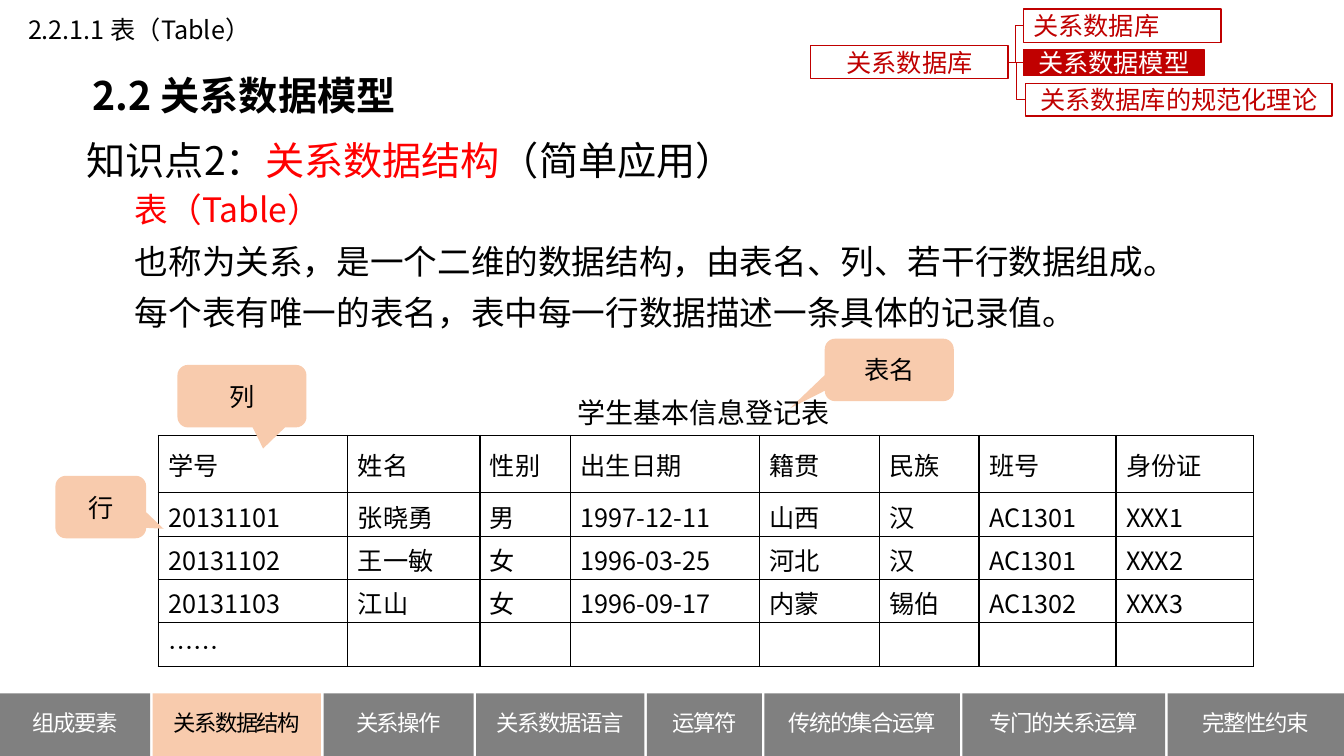
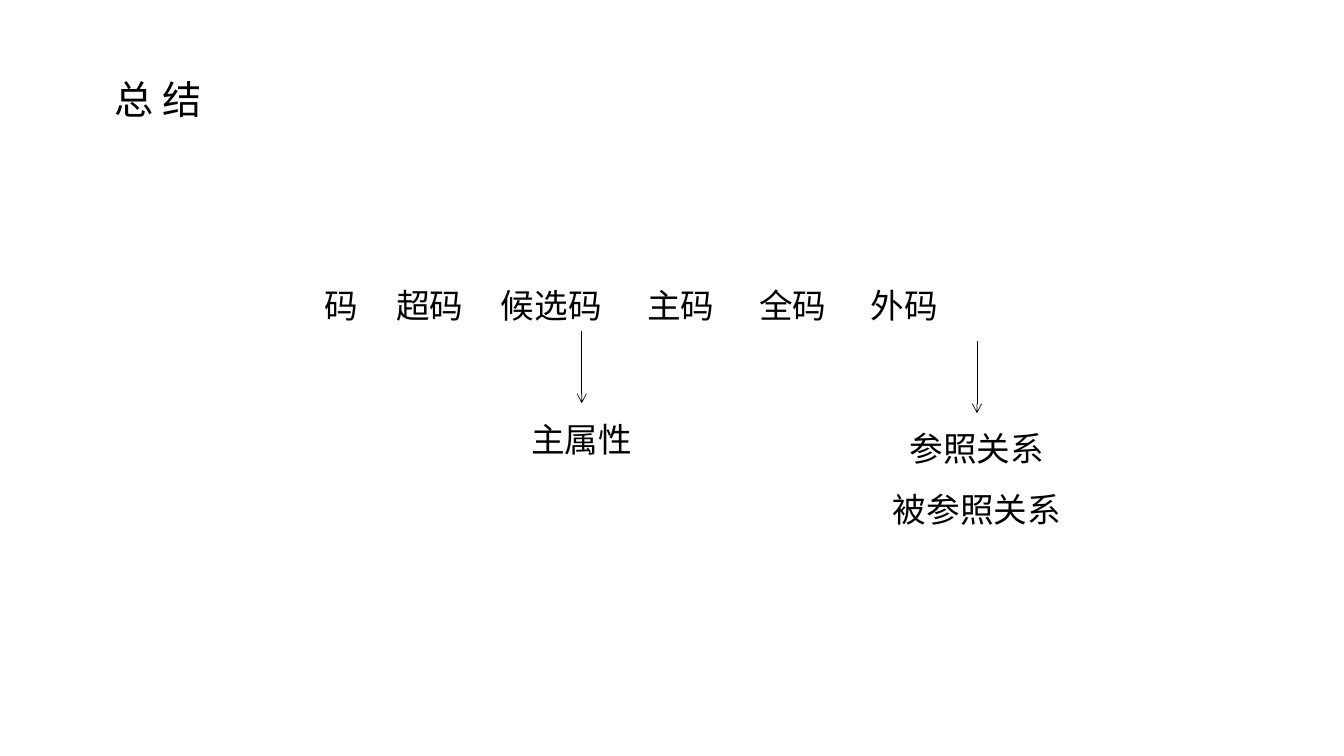
from lxml.etree import SubElement
from pptx import Presentation
from pptx.dml.color import RGBColor
from pptx.enum.shapes import MSO_CONNECTOR, MSO_SHAPE
from pptx.enum.text import MSO_ANCHOR, PP_ALIGN
from pptx.oxml.ns import qn
from pptx.util import Inches, Pt

COLORS = {"black": "000000", "white": "FFFFFF", "red": "FF0000",
          "crimson": "C00000", "gray": "808080", "peach": "F8CBAD"}
SANS = "Noto Sans CJK SC"
CALLOUT_FONT = "Noto Sans CJK JP"


def color(name):
    return RGBColor.from_string(COLORS[name])


class Deck:
    """Holds the shared style and the current slide."""

    def __init__(self):
        self.presentation = Presentation()
        self.presentation.slide_width = Inches(13.33)
        self.presentation.slide_height = Inches(7.5)
        self.slide = None

    def new_slide(self):
        self.slide = self.presentation.slides.add_slide(self.presentation.slide_layouts[6])

    def fill_text(self, frame, paragraphs, size, ink="black", font=SANS, bold=False,
                  tracking=None, align=PP_ALIGN.LEFT, spacing=None):
        paragraph_format = {"alignment": align, "line_spacing": spacing}
        font_format = {"name": font, "size": Pt(size), "bold": bold}
        for index, runs in enumerate(paragraphs):
            paragraph = frame.add_paragraph() if index else frame.paragraphs[0]
            for key, value in paragraph_format.items():
                setattr(paragraph, key, value)
            for words, run_ink in [(runs, ink)] if isinstance(runs, str) else runs:
                run = paragraph.add_run()
                run.text = words
                for key, value in font_format.items():
                    setattr(run.font, key, value)
                run.font.color.rgb = color(run_ink)
                properties = run.font._element
                SubElement(properties, qn("a:ea"), typeface=font)
                if tracking:
                    properties.set("spc", str(tracking * 100))

    def text(self, box, paragraphs, size, wrap=True, anchor=MSO_ANCHOR.TOP,
             inset=(0.1, 0.05), tabs=(), **style):
        frame = self.slide.shapes.add_textbox(*map(Inches, box)).text_frame
        across, down = map(Inches, inset)
        frame_format = {"word_wrap": wrap, "vertical_anchor": anchor,
                        "margin_left": across, "margin_right": across,
                        "margin_top": down, "margin_bottom": down}
        for key, value in frame_format.items():
            setattr(frame, key, value)
        self.fill_text(frame, paragraphs, size, **style)
        if tabs:
            properties = frame.paragraphs[0]._p.get_or_add_pPr()
            tab_list = SubElement(properties, qn("a:tabLst"))
            for position in tabs:
                SubElement(tab_list, qn("a:tab"), pos=str(Inches(position)), algn="l")

    def block(self, box, words, size, fill, line=None, kind=MSO_SHAPE.RECTANGLE,
              adjustments=(), align=PP_ALIGN.CENTER, **style):
        shape = self.slide.shapes.add_shape(kind, *map(Inches, box))
        shape.shadow.inherit = False
        for index, value in enumerate(adjustments):
            shape.adjustments[index] = value
        shape.fill.solid()
        shape.fill.fore_color.rgb = color(fill)
        if line:
            shape.line.color.rgb = color(line)
            shape.line.width = Pt(1)
        else:
            shape.line.fill.background()
        shape.text_frame.word_wrap = True
        shape.text_frame.vertical_anchor = MSO_ANCHOR.MIDDLE
        self.fill_text(shape.text_frame, [words], size, align=align, **style)

    def callout(self, box, words, tip):
        self.block(box, words, 18, "peach", kind=MSO_SHAPE.ROUNDED_RECTANGULAR_CALLOUT,
                   adjustments=(*tip, 0.167), font=CALLOUT_FONT)

    def connector(self, start, end, ink, kind=MSO_CONNECTOR.STRAIGHT, arrow=False):
        connector = self.slide.shapes.add_connector(kind, *map(Inches, (*start, *end)))
        connector.line.color.rgb = color(ink)
        connector.line.width = Pt(0.5)
        if arrow:
            SubElement(connector.line._get_or_add_ln(), qn("a:tailEnd"), type="arrow")
        SubElement(connector._element.spPr, qn("a:effectLst"))

    def table(self, box, widths, heights, rows):
        table = self.slide.shapes.add_table(len(rows), len(widths), *map(Inches, box)).table
        table.first_row = table.horz_banding = False
        for column, width in zip(table.columns, widths):
            column.width = Inches(width)
        for row, height in zip(table.rows, heights):
            row.height = Inches(height)
        for row_index, row in enumerate(rows):
            for column_index, words in enumerate(row):
                cell = table.cell(row_index, column_index)
                cell.vertical_anchor = MSO_ANCHOR.MIDDLE
                self.fill_text(cell.text_frame, [words], 18)
                properties = cell._tc.get_or_add_tcPr()
                for side in ("lnL", "lnR", "lnT", "lnB"):
                    border = SubElement(properties, qn(f"a:{side}"), w=str(Pt(1)))
                    fill = SubElement(border, qn("a:solidFill"))
                    SubElement(fill, qn("a:srgbClr"), val=COLORS["black"])
                cell.fill.background()

    def chapter_map(self):
        self.block((8.04, 0.45, 1.96, 0.33), "关系数据库", 18, "white", "crimson", ink="crimson")
        branches = [
            ((10.15, 0.09, 1.96, 0.33), "关系数据库", "white", "crimson", PP_ALIGN.LEFT),
            ((10.15, 0.49, 1.79, 0.26), "关系数据模型", "crimson", "white", PP_ALIGN.CENTER),
            ((10.17, 0.83, 3.04, 0.32), "关系数据库的规范化理论", "white", "crimson", PP_ALIGN.CENTER),
        ]
        for box, words, fill, ink, align in branches:
            left, top, _, height = box
            self.connector((10, 0.62), (left, top + height / 2), "crimson", MSO_CONNECTOR.ELBOW)
            self.block(box, words, 18, fill, "crimson", ink=ink, align=align)

    def navigation(self, tabs, active):
        gap = (13.33 - sum(width for _, width in tabs)) / (len(tabs) - 1)
        left = 0
        for words, width in tabs:
            fill, ink = ("peach", "black") if words == active else ("gray", "white")
            self.block((left, 6.88, width, 0.62), words, 16, fill, ink=ink,
                       tracking=-1, spacing=Pt(16))
            left += width + gap


def table_slide(deck):
    deck.new_slide()
    deck.callout((8.18, 3.36, 1.28, 0.62), "表名", (-0.769, 0.614))
    deck.text((0.8, 0.65, 9.65, 0.59), ["2.2 关系数据模型"], 28, inset=(0.12, 0.06), bold=True)
    heading = [("知识点2：", "black"), ("关系数据结构", "red"), ("（简单应用）", "black")]
    deck.text((0.74, 0.95, 12.16, 1.04), [heading], 28, anchor=MSO_ANCHOR.MIDDLE,
              inset=(0.12, 0.06), spacing=1.5)
    deck.text((1.24, 1.71, 10.94, 1.66),
              [[("表（Table）", "red")],
               "也称为关系，是一个二维的数据结构，由表名、列、若干行数据组成。",
               "每个表有唯一的表名，表中每一行数据描述一条具体的记录值。"],
              24, spacing=Pt(37))
    students = [
        ("学号", "姓名", "性别", "出生日期", "籍贯", "民族", "班号", "身份证"),
        ("20131101", "张晓勇", "男", "1997-12-11", "山西", "汉", "AC1301", "XXX1"),
        ("20131102", "王一敏", "女", "1996-03-25", "河北", "汉", "AC1301", "XXX2"),
        ("20131103", "江山", "女", "1996-09-17", "内蒙", "锡伯", "AC1302", "XXX3"),
        ("……",) + ("",) * 7,
    ]
    deck.table((1.57, 4.32, 10.86, 2.29), (1.88, 1.31, 0.9, 1.87, 1.19, 0.99, 1.36, 1.36),
               [0.57] + [0.43] * 4, students)
    deck.text((5.63, 3.69, 3.93, 0.57), ["学生基本信息登记表"], 20,
              font=CALLOUT_FONT, spacing=Pt(37))
    deck.callout((1.76, 3.62, 1.28, 0.62), "列", (0.164, 0.838))
    deck.callout((0.55, 4.72, 0.9, 0.62), "行", (0.692, 0.348))
    deck.navigation([("组成要素", 1.49), ("关系数据结构", 1.67), ("关系操作", 1.49),
                     ("关系数据语言", 1.67), ("运算符", 1.14), ("传统的集合运算", 1.94),
                     ("专门的关系运算", 2.01), ("完整性约束", 1.75)], "关系数据结构")
    deck.chapter_map()
    deck.text((0.18, 0.09, 2.44, 0.4), ["2.2.1.1 表（Table）"], 18)


def summary_slide(deck):
    deck.new_slide()
    deck.text((3.12, 2.78, 7.04, 0.5), ["码\t超码\t候选码\t主码\t全码\t外码"], 24,
              tabs=(0.71, 1.75, 3.2, 4.31, 5.42))
    deck.text((5.17, 4.11, 1.21, 0.5), ["主属性"], 24, wrap=False)
    deck.text((8.75, 4, 1.88, 1.24), ["参照关系", "被参照关系"], 24, wrap=False,
              align=PP_ALIGN.CENTER, spacing=1.5)
    for left, top in ((5.77, 3.28), (9.69, 3.38)):
        deck.connector((left, top), (left, top + 0.72), "black", arrow=True)
    deck.text((1.04, 0.7, 1.1, 0.57), ["总 结"], 28, wrap=False)


def main():
    deck = Deck()
    table_slide(deck)
    summary_slide(deck)
    deck.presentation.save("out.pptx")


if __name__ == "__main__":
    main()
